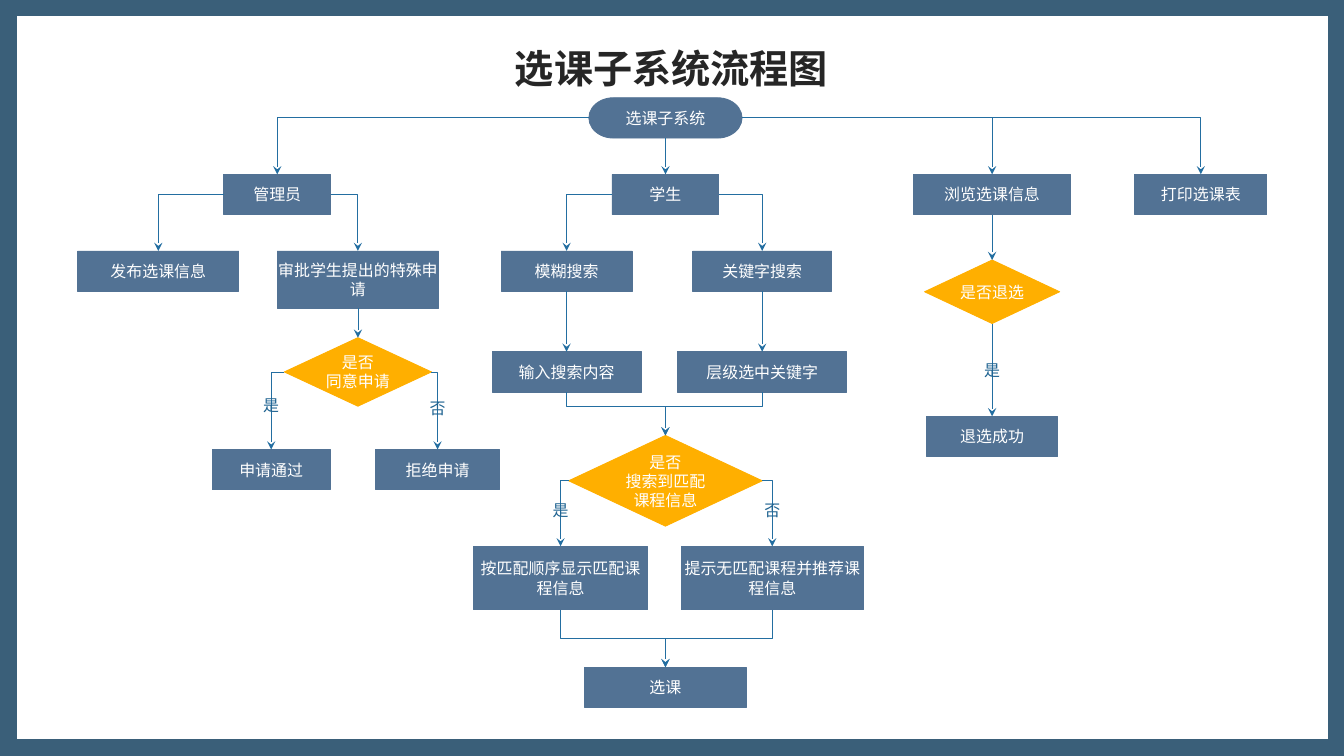
"""Build the flow chart slide of the course selection subsystem."""
from lxml.etree import SubElement
from pptx import Presentation
from pptx.dml.color import RGBColor
from pptx.enum.shapes import MSO_CONNECTOR as Link, MSO_SHAPE as Form
from pptx.enum.text import MSO_ANCHOR as Anchor, PP_ALIGN as Align
from pptx.oxml.ns import qn
from pptx.util import Pt

PX = 9144
FRAME = RGBColor(0x3A, 0x5F, 0x79)
WHITE = RGBColor(0xFF, 0xFF, 0xFF)
DARK = RGBColor(0x26, 0x26, 0x26)
BLUE = RGBColor(0x52, 0x72, 0x94)
AMBER = RGBColor(0xFF, 0xAF, 0x00)
LINE = RGBColor(0x23, 0x6E, 0xA1)
LABEL = RGBColor(0x1F, 0x63, 0x91)


def write(shape, text, color, size=11.4, face="Arial", wrap=True):
    """Put centred text into a shape."""
    frame = shape.text_frame
    frame.text = text
    frame.word_wrap = wrap
    frame.vertical_anchor = Anchor.MIDDLE
    frame.margin_left = frame.margin_right = 0
    frame.margin_top = frame.margin_bottom = 0
    for para in frame.paragraphs:
        para.alignment = Align.CENTER
        para.font.size = Pt(size)
        para.font.name = face
        para.font.color.rgb = color


def draw(form, left, top, width, height, color):
    """Add a filled shape with an outline of the same colour."""
    box = [round(n * PX) for n in (left, top, width, height)]
    shape = shapes.add_shape(form, *box)
    shape.shadow.inherit = False
    shape.fill.solid()
    shape.fill.fore_color.rgb = color
    shape.line.color.rgb = color
    shape.line.width = Pt(0.6)
    return shape


deck = Presentation()
deck.slide_width, deck.slide_height = 1333 * PX, 750 * PX
slide = deck.slides.add_slide(deck.slide_layouts[5])
shapes = slide.shapes

draw(Form.RECTANGLE, 0, 0, 1333, 750, FRAME)
draw(Form.RECTANGLE, 17, 16, 1300, 717, WHITE)

title = shapes.title
title.left, title.top, title.width, title.height = 499 * PX, 39 * PX, 334 * PX, 57 * PX
write(title, "选课子系统流程图", DARK, 28, wrap=False)
title.text_frame.paragraphs[0].font.bold = True
title.element.getparent().append(title.element)

BOX, ASK, START = Form.RECTANGLE, Form.DIAMOND, Form.FLOWCHART_TERMINATOR
STEPS = [
    ("root", START, 660, 97, 152, 40, "选课子系统"),
    ("admin", BOX, 275, 173, 106, 40, "管理员"),
    ("pupil", BOX, 660, 173, 106, 40, "学生"),
    ("browse", BOX, 984, 173, 156, 40, "浏览选课信息"),
    ("print", BOX, 1191, 173, 131, 40, "打印选课表"),
    ("issue", BOX, 157, 249, 160, 40, "发布选课信息"),
    ("review", BOX, 355, 249, 160, 57, "审批学生提出的特殊申请"),
    ("fuzzy", BOX, 562, 249, 130, 40, "模糊搜索"),
    ("keyword", BOX, 756, 249, 138, 40, "关键字搜索"),
    ("drop", ASK, 984, 258, 134, 63, "是否退选"),
    ("agree", ASK, 355, 335, 146, 68, "是否\n同意申请"),
    ("pass", BOX, 269, 446, 117, 40, "申请通过"),
    ("refuse", BOX, 434, 446, 123, 40, "拒绝申请"),
    ("input", BOX, 562, 349, 148, 40, "输入搜索内容"),
    ("level", BOX, 756, 349, 168, 40, "层级选中关键字"),
    ("left", BOX, 984, 413, 130, 40, "退选成功"),
    ("match", ASK, 660, 432, 192, 90, "是否\n搜索到匹配\n课程信息"),
    ("show", BOX, 556, 542, 173, 63, "按匹配顺序显示匹配课程信息"),
    ("hint", BOX, 766, 542, 181, 63, "提示无匹配课程并推荐课程信息"),
    ("choose", BOX, 660, 662, 160, 40, "选课"),
]
nodes = {}
for name, form, mid, top, width, height, text in STEPS:
    shape = draw(form, mid - width / 2, top, width, height, AMBER if form == ASK else BLUE)
    write(shape, text, WHITE)
    nodes[name] = shape, mid, top, width, height

FLOWS = [
    ("root", "admin"), ("root", "pupil"), ("root", "print"), ("root", "browse"),
    ("admin", "issue"), ("admin", "review"), ("review", "agree"),
    ("agree", "pass"), ("agree", "refuse"),
    ("pupil", "fuzzy"), ("pupil", "keyword"),
    ("fuzzy", "input"), ("keyword", "level"),
    ("input", "match"), ("level", "match"),
    ("match", "show"), ("match", "hint"),
    ("show", "choose"), ("hint", "choose"),
    ("browse", "drop"), ("drop", "left"),
]
BENDS = {"match": 403, "choose": 633}
for source, target in FLOWS:
    start, mid, top, width, height = nodes[source]
    end, goal, tip = nodes[target][:3]
    if mid == goal:
        arrow = shapes.add_connector(Link.STRAIGHT, 0, 0, 0, 0)
        arrow.begin_connect(start, 2)
        arrow.end_connect(end, 0)
    else:
        if target in BENDS:
            bend = BENDS[target]
            route = [(mid, top + height), (mid, bend), (goal, bend), (goal, tip)]
        else:
            side = mid + (width if goal > mid else -width) / 2
            row = top + height / 2
            route = [(side, row), (goal, row), (goal, tip)]
        path = shapes.build_freeform(*route[0], scale=PX)
        path.add_line_segments(route[1:], close=False)
        arrow = path.convert_to_shape()
        arrow.fill.background()
    arrow.line.color.rgb = LINE
    arrow.line.width = Pt(0.6)
    props = arrow.element.spPr
    SubElement(props.find(qn("a:ln")), qn("a:tailEnd"), type="stealth")
    SubElement(props, qn("a:effectLst"))

ANSWERS = [("是", 269, 402), ("否", 434, 405), ("是", 556, 506), ("否", 766, 506), ("是", 984, 367)]
for text, mid, row in ANSWERS:
    label = shapes.add_textbox((mid - 15) * PX, (row - 10) * PX, 30 * PX, 20 * PX)
    write(label, text, LABEL, face="Noto Sans CJK SC")

deck.save("out.pptx")
